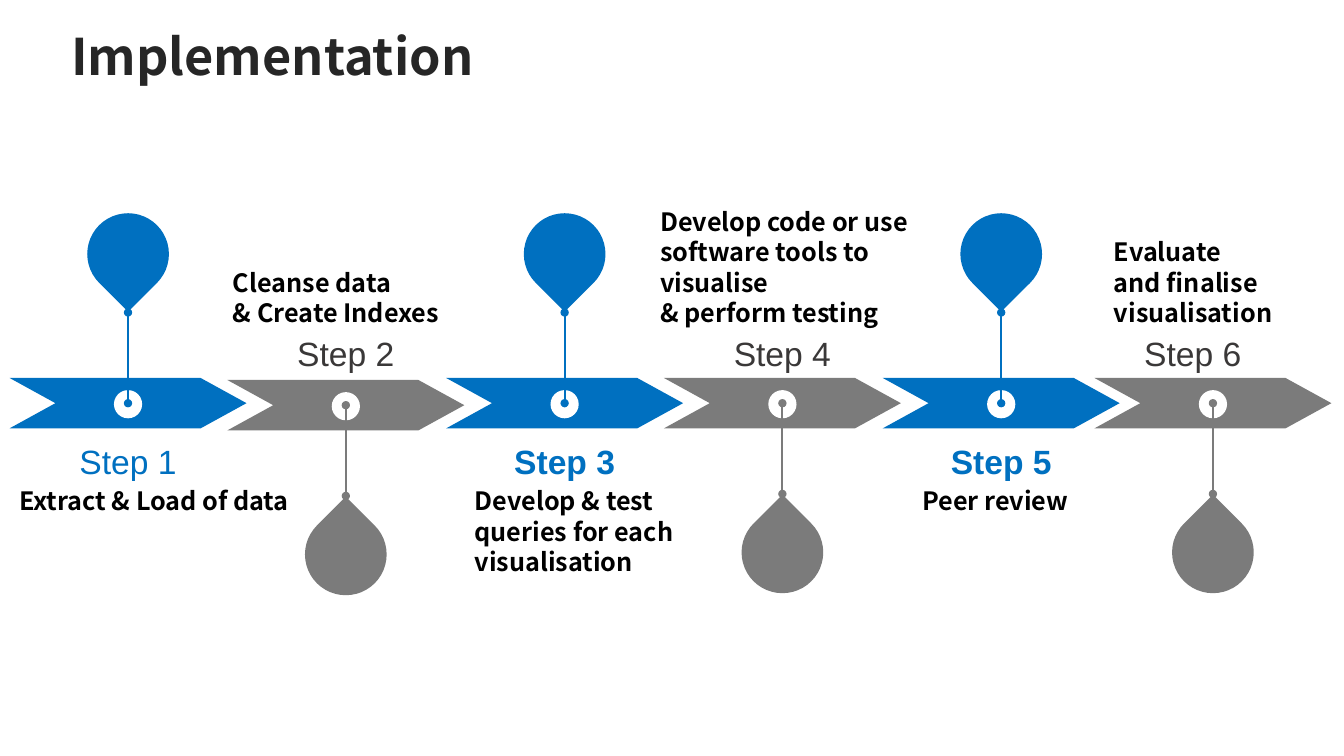
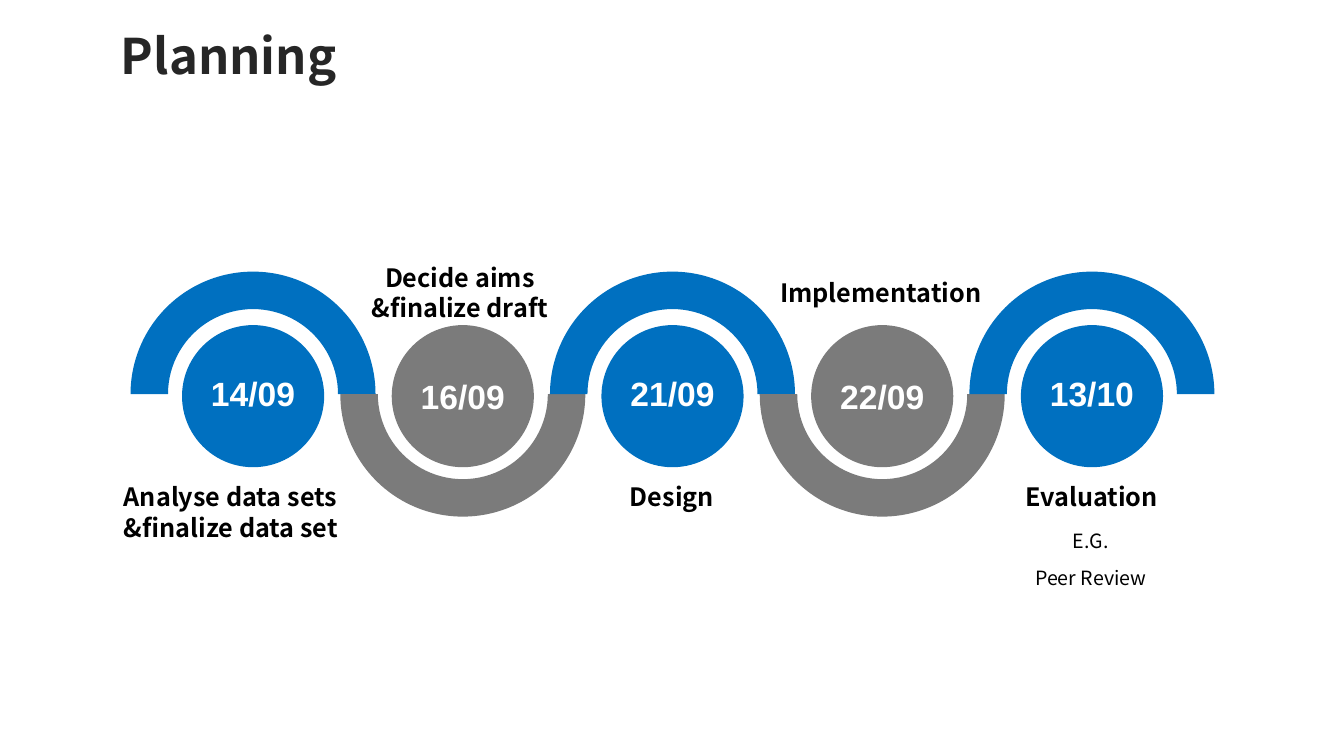
from dataclasses import dataclass

from lxml import etree
from pptx import Presentation
from pptx import util as u
from pptx.dml import color
from pptx.enum import shapes, text
from pptx.oxml import ns


@dataclass(frozen=True)
class Theme:
    """Colours, fonts and type sizes shared by the slides."""
    blue: str = "0070C0"
    grey: str = "7B7B7B"
    white: str = "FFFFFF"
    black: str = "000000"
    title_ink: str = "262626"
    step_ink: str = "3A3838"
    body_font: str = "Noto Sans CJK SC"
    number_font: str = "Arial"
    number_size: int = 24
    label_size: int = 18
    note_size: int = 14


@dataclass(frozen=True)
class Step:
    """One step of the implementation timeline."""
    center: float
    label_left: float
    label_width: float
    lines: int
    label: str
    bold: bool = False
    shift: float = 0
    name_shift: float = 0


@dataclass(frozen=True)
class Milestone:
    """One dated milestone of the plan."""
    date: str
    label: str
    label_left: float
    label_top: float
    label_width: float
    align: text.PP_ALIGN = text.PP_ALIGN.CENTER


class Deck:
    """Draws styled elements on the current slide."""

    def __init__(self, theme):
        self.theme = theme
        self.presentation = Presentation()
        self.presentation.slide_width = u.Inches(13.33)
        self.presentation.slide_height = u.Inches(7.5)
        self.slide = None

    def start(self, title, width, size):
        """Add a slide with a title."""
        self.slide = self.presentation.slides.add_slide(self.presentation.slide_layouts[5])
        shape = self.slide.shapes.title
        shape.left, shape.top = u.Inches(0.38), u.Inches(0.2)
        shape.width, shape.height = u.Inches(width), u.Inches(0.7)
        frame = shape.text_frame
        frame.text = title
        frame.auto_size = text.MSO_AUTO_SIZE.NONE
        frame.vertical_anchor = text.MSO_ANCHOR.TOP
        self.format(frame, self.theme.body_font, size, self.theme.title_ink, True)

    def format(self, frame, font, size, ink, bold, align=text.PP_ALIGN.CENTER):
        """Format every run of a text frame."""
        for paragraph in frame.paragraphs:
            paragraph.alignment = align
            for run in paragraph.runs:
                run.font.name = font
                run.font.size = u.Pt(size)
                run.font.bold = bold
                run.font.color.rgb = color.RGBColor.from_string(ink)

    def textbox(self, words, left, top, width, height, inset=True):
        """Add a wrapping text box and return its frame."""
        box = self.slide.shapes.add_textbox(
            u.Inches(left), u.Inches(top), u.Inches(width), u.Inches(height))
        frame = box.text_frame
        frame.text = words
        frame.word_wrap = True
        if not inset:
            frame.margin_left = frame.margin_right = 0
            frame.margin_top = frame.margin_bottom = 0
        return frame

    def label(self, words, left, top, width, height, align):
        """Add a bold description."""
        frame = self.textbox(words, left, top, width, height)
        self.format(frame, self.theme.body_font, self.theme.label_size,
                    self.theme.black, True, align)

    def number(self, words, center, top, ink, bold):
        """Add a centred step name or date."""
        frame = self.textbox(words, center - 0.5, top, 1, 0.4, inset=False)
        frame.word_wrap = False
        frame.vertical_anchor = text.MSO_ANCHOR.MIDDLE
        self.format(frame, self.theme.number_font, self.theme.number_size, ink, bold)

    def note(self, words, left, top, width, height):
        """Add a small spaced note."""
        frame = self.textbox(words, left, top, width, height, inset=False)
        self.format(frame, self.theme.body_font, self.theme.note_size, self.theme.black, False)
        for paragraph in frame.paragraphs:
            paragraph.line_spacing = 1.2
            paragraph.space_after = u.Pt(6)

    def preset(self, kind, center, middle, width, height, fill, adjustments=(), rotation=0):
        """Add a plain filled shape around a centre point."""
        shape = self.slide.shapes.add_shape(
            kind, u.Inches(center - width / 2), u.Inches(middle - height / 2),
            u.Inches(width), u.Inches(height))
        for index, value in enumerate(adjustments):
            shape.adjustments[index] = value
        shape.rotation = rotation
        shape.shadow.inherit = False
        shape.fill.solid()
        shape.fill.fore_color.rgb = color.RGBColor.from_string(fill)
        shape.line.fill.background()

    def stem(self, center, start, end, ink):
        """Add a vertical line with round ends."""
        connector = self.slide.shapes.add_connector(
            shapes.MSO_CONNECTOR.STRAIGHT, u.Inches(center), u.Inches(start),
            u.Inches(center), u.Inches(end))
        connector.line.color.rgb = color.RGBColor.from_string(ink)
        connector.line.width = u.Pt(1.5)
        properties = connector.element.spPr
        outline = properties.find(ns.qn("a:ln"))
        for tag in ("a:headEnd", "a:tailEnd"):
            etree.SubElement(outline, ns.qn(tag), type="oval")
        etree.SubElement(properties, ns.qn("a:effectLst"))

    def step(self, number, step):
        """Add an arrow with its pin, step name and description."""
        pin_up = number % 2 == 1
        direction = -1 if pin_up else 1
        fill = self.theme.blue if pin_up else self.theme.grey
        ink = self.theme.blue if pin_up else self.theme.step_ink
        axis = 4 + step.shift
        kinds = shapes.MSO_SHAPE
        self.preset(kinds.NOTCHED_RIGHT_ARROW, step.center, axis, 2.35, 0.5, fill, (1, 0.91))
        self.preset(kinds.OVAL, step.center, axis + 0.01, 0.28, 0.28, self.theme.white)
        self.stem(step.center, axis + direction * 0.9, axis, fill)
        self.preset(kinds.TEAR, step.center, axis + direction * 1.48, 0.81, 0.81, fill,
                    rotation=135 if pin_up else 315)
        self.number(f"Step {number}", step.center + step.name_shift,
                    4.37 if pin_up else 3.3, ink, step.bold)
        height = 0.1 + 0.3 * step.lines
        self.label(step.label, step.label_left, 4.77 if pin_up else 3.3 - height,
                   step.label_width, height, text.PP_ALIGN.LEFT)

    def milestone(self, index, milestone):
        """Add a disc with its half ring, date and description."""
        upper = index % 2 == 0
        fill = self.theme.blue if upper else self.theme.grey
        center = 2.51 + 2.08 * index
        kinds = shapes.MSO_SHAPE
        self.preset(kinds.BLOCK_ARC, center, 3.91, 2.43, 2.43, fill, (108, 0, 0.153),
                    0 if upper else 180)
        self.preset(kinds.OVAL, center, 3.93, 1.41, 1.41, fill)
        self.number(milestone.date, center, 3.7 if upper else 3.73, self.theme.white, True)
        height = 0.7 if "\n" in milestone.label else 0.4
        self.label(milestone.label, milestone.label_left, milestone.label_top,
                   milestone.label_width, height, milestone.align)


STEPS = [
    Step(1.27, 0.09, 3.82, 1, "Extract & Load of data"),
    Step(3.43, 2.21, 2.45, 2, "Cleanse data\n& Create Indexes", shift=0.02),
    Step(5.6, 4.61, 2.9, 3, "Develop & test queries for each visualisation", bold=True),
    Step(7.76, 6.45, 2.9, 4,
         "Develop code or use software tools to visualise\n& perform testing"),
    Step(9.93, 9.05, 1.75, 1, "Peer review", bold=True),
    Step(12.03, 10.95, 1.77, 3, "Evaluate\nand finalise visualisation", name_shift=-0.2),
]

MILESTONES = [
    Milestone("14/09", "Analyse data sets\n&finalize data set", 1.13, 4.73, 3.57,
              text.PP_ALIGN.LEFT),
    Milestone("16/09", "Decide aims\n&finalize draft", 3.04, 2.55, 3.04),
    Milestone("21/09", "Design", 5.8, 4.73, 1.73),
    Milestone("22/09", "Implementation", 7.62, 2.7, 2.23),
    Milestone("13/10", "Evaluation", 9.94, 4.73, 1.77),
]


def main():
    """Build and save both slides."""
    deck = Deck(Theme())
    deck.start("Implementation", 4.64, 36)
    for number, step in enumerate(STEPS, 1):
        deck.step(number, step)
    deck.start("Planning", 3.78, 35)
    for index, milestone in enumerate(MILESTONES):
        deck.milestone(index, milestone)
    deck.note("E.G.\nPeer Review", 9.59, 5.2, 2.46, 0.55)
    deck.presentation.save("out.pptx")


if __name__ == "__main__":
    main()
